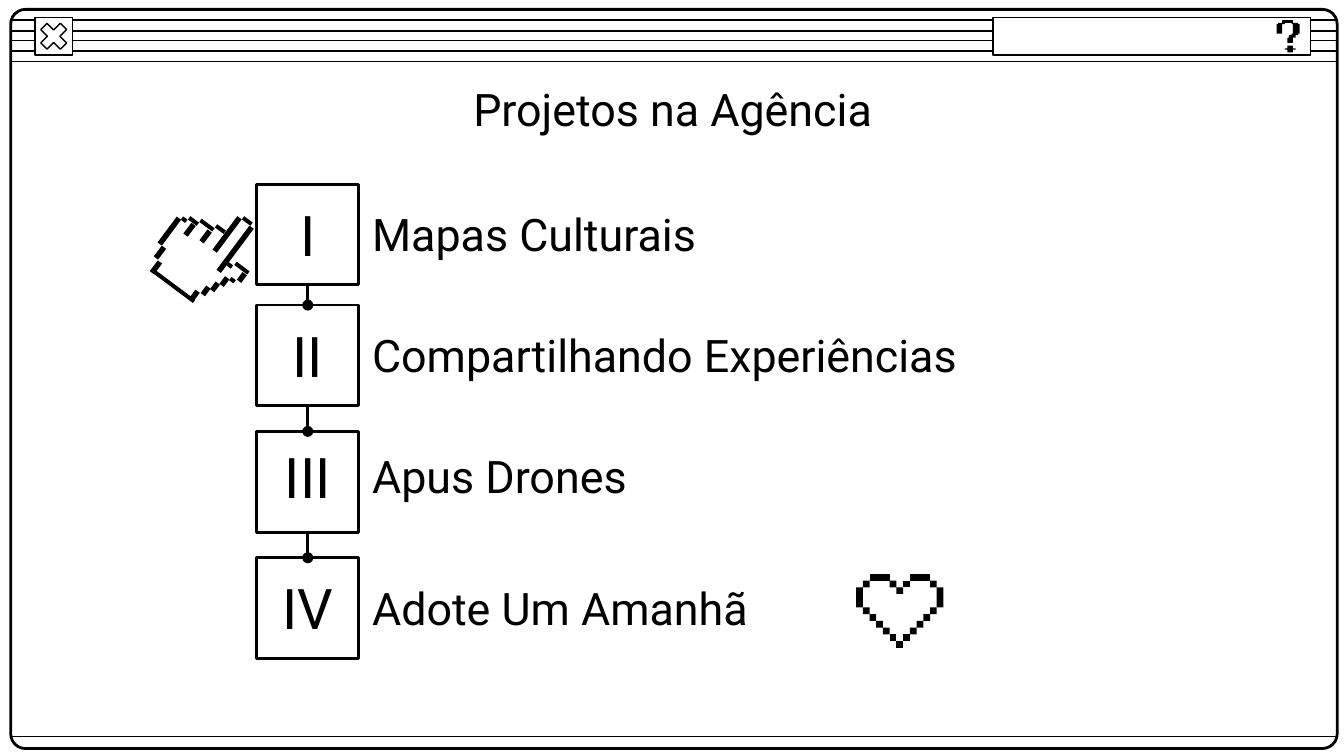
from lxml.etree import SubElement
from pptx import Presentation
from pptx.dml.color import RGBColor
from pptx.enum.shapes import MSO_CONNECTOR, MSO_SHAPE
from pptx.enum.text import MSO_ANCHOR, PP_ALIGN
from pptx.oxml.ns import qn
from pptx.util import Inches, Pt

BLACK = RGBColor(0x00, 0x00, 0x00)
WHITE = RGBColor(0xFF, 0xFF, 0xFF)
FONT = "Roboto"

# Widescreen slide, 16:9
prs = Presentation()
prs.slide_width = Inches(10)
prs.slide_height = Inches(10 * 9 / 16)
slide = prs.slides.add_slide(prs.slide_layouts[5])
shapes = slide.shapes


def box_corners(left, top, width, height):
    right, bottom = left + width, top + height
    return [(left, top), (right, top), (right, bottom), (left, bottom)]


def draw_outline(contours, color):
    contours = [[(Inches(x), Inches(y)) for x, y in points] for points in contours]
    builder = shapes.build_freeform(*contours[0][0])
    builder.add_line_segments(contours[0][1:])
    for points in contours[1:]:
        builder.move_to(*points[0])
        builder.add_line_segments(points[1:])
    outline = builder.convert_to_shape()
    outline.shadow.inherit = False
    outline.fill.solid()
    outline.fill.fore_color.rgb = color
    outline.line.fill.background()
    return outline


# Window stripes: title bar and bottom edge
lines = []
for y in (0.15, 0.23, 0.3, 0.38, 0.46, 5.48):
    stripe = shapes.add_connector(
        MSO_CONNECTOR.STRAIGHT, Inches(0.08), Inches(y), Inches(9.95), Inches(y))
    lines.append((stripe, 0.75))

# Window frame, close button, search bar and numeral boxes
numeral_tops = (1.37, 2.27, 3.21, 4.15)
framed = [
    (MSO_SHAPE.ROUNDED_RECTANGLE, 0.08, 0.07, 9.87, 5.5, 0.02, None, 1.5),
    (MSO_SHAPE.RECTANGLE, 0.26, 0.13, 0.28, 0.28, None, WHITE, 0.75),
    (MSO_SHAPE.MATH_MULTIPLY, 0.26, 0.13, 0.28, 0.28, 0.235, WHITE, 0.75),
    (MSO_SHAPE.RECTANGLE, 7.39, 0.13, 2.36, 0.28, None, WHITE, 0.75),
]
framed += [(MSO_SHAPE.RECTANGLE, 1.91, top, 0.76, 0.75, None, None, 1.5)
           for top in numeral_tops]
numeral_boxes = []
for preset, left, top, width, height, adjustment, fill, weight in framed:
    frame = shapes.add_shape(
        preset, Inches(left), Inches(top), Inches(width), Inches(height))
    frame.shadow.inherit = False
    if adjustment is not None:
        frame.adjustments[0] = adjustment
    if fill is None:
        frame.fill.background()
    else:
        frame.fill.solid()
        frame.fill.fore_color.rgb = fill
    frame.line.color.rgb = BLACK
    frame.line.width = Pt(weight)
    if width == 0.76:
        numeral_boxes.append(frame)

# Links between consecutive numeral boxes
for upper, lower in zip(numeral_boxes, numeral_boxes[1:]):
    link = shapes.add_connector(MSO_CONNECTOR.STRAIGHT, 0, 0, 0, 0)
    link.begin_connect(upper, 2)
    link.end_connect(lower, 0)
    lines.append((link, 1.5))

for line, weight in lines:
    line.line.color.rgb = BLACK
    line.line.width = Pt(weight)
    properties = line._element.spPr
    if weight == 1.5:
        SubElement(properties.find(qn("a:ln")), qn("a:tailEnd"), type="oval")
    SubElement(properties, qn("a:effectLst"))

# Question mark: dot and hook
draw_outline([[
    (9.58, 0.34), (9.58, 0.36), (9.56, 0.36), (9.56, 0.37), (9.58, 0.37), (9.58, 0.39),
    (9.62, 0.39), (9.62, 0.37), (9.64, 0.37), (9.64, 0.36), (9.62, 0.36), (9.62, 0.34),
]], BLACK)
draw_outline([[
    (9.54, 0.15), (9.54, 0.17), (9.51, 0.17), (9.51, 0.18), (9.5, 0.18), (9.5, 0.25),
    (9.54, 0.25), (9.54, 0.18), (9.56, 0.18), (9.56, 0.17), (9.61, 0.17), (9.61, 0.18),
    (9.62, 0.18), (9.62, 0.25), (9.61, 0.25), (9.61, 0.26), (9.59, 0.26), (9.59, 0.28),
    (9.58, 0.28), (9.58, 0.32), (9.62, 0.32), (9.62, 0.28), (9.64, 0.28), (9.64, 0.26),
    (9.66, 0.26), (9.66, 0.25), (9.67, 0.25), (9.67, 0.18), (9.66, 0.18), (9.66, 0.17),
    (9.62, 0.17), (9.62, 0.15)]], BLACK)

# Pointing hand: white silhouette, then tilted strokes
draw_outline([[
    (1.88, 1.65), (1.86, 1.68), (1.89, 1.7), (1.7, 1.95), (1.74, 1.98), (1.76, 1.95),
    (1.85, 2.02), (1.79, 2.1), (1.76, 2.08), (1.74, 2.11), (1.71, 2.08), (1.66, 2.14),
    (1.63, 2.11), (1.59, 2.17), (1.56, 2.14), (1.52, 2.2), (1.49, 2.18), (1.43, 2.26),
    (1.11, 2.02), (1.17, 1.94), (1.14, 1.92), (1.2, 1.83), (1.17, 1.81), (1.31, 1.62),
    (1.34, 1.64), (1.37, 1.61), (1.4, 1.64), (1.42, 1.61), (1.48, 1.66), (1.5, 1.63),
    (1.6, 1.7), (1.62, 1.67), (1.68, 1.72), (1.76, 1.61), (1.79, 1.63), (1.81, 1.61),
]], WHITE)
hand_strokes = [
    (1.73, 1.65, 0.04, 0.41), (1.8, 1.63, 0.08, 0.03), (1.67, 1.59, 0.04, 0.31),
    (1.6, 1.69, 0.08, 0.03), (1.51, 1.71, 0.04, 0.1), (1.48, 1.66, 0.12, 0.03),
    (1.39, 1.66, 0.04, 0.1), (1.4, 1.63, 0.08, 0.03), (1.35, 1.62, 0.04, 0.03),
    (1.24, 1.6, 0.04, 0.24), (1.17, 1.83, 0.04, 0.1), (1.14, 1.94, 0.04, 0.1),
    (1.12, 2.12, 0.36, 0.03), (1.69, 1.96, 0.04, 0.03), (1.74, 1.98, 0.12, 0.03),
    (1.78, 2.03, 0.04, 0.07), (1.71, 2.07, 0.04, 0.03), (1.65, 2.06, 0.04, 0.07),
    (1.58, 2.1, 0.04, 0.07), (1.51, 2.13, 0.04, 0.07), (1.43, 2.16, 0.04, 0.07),
]
for stroke in hand_strokes:
    draw_outline([box_corners(*stroke)], BLACK).rotation = 36.7

# Pixel heart: each part lists blocks as column, row, columns, rows
PIXEL = 0.05
heart_parts = [
    [(3, 7, 1, 1), (4, 8, 1, 1)], [(1, 5, 1, 1), (2, 6, 1, 1)],
    [(1, 1, 1, 1), (0, 2, 1, 3)], [(2, 0, 3, 1)],
    [(5, 1, 1, 1), (6, 2, 1, 1)], [(5, 9, 1, 1)],
    [(9, 7, 1, 1), (8, 8, 1, 1)], [(11, 1, 1, 1), (12, 2, 1, 3)],
    [(11, 5, 1, 1), (10, 6, 1, 1)], [(8, 0, 3, 1)],
    [(7, 1, 1, 1)], [(7, 9, 1, 1)], [(6, 10, 1, 1)],
]
for part in heart_parts:
    draw_outline([
        box_corners(6.37 + column * PIXEL, 4.27 + row * PIXEL,
                    columns * PIXEL, rows * PIXEL)
        for column, row, columns, rows in part], BLACK)

# Title, numerals and project names
title = shapes.title
title.left, title.top = Inches(0.79), Inches(0.49)
title.width, title.height = Inches(8.43), Inches(0.63)
texts = [(title, "Projetos na Agência", 24, PP_ALIGN.CENTER)]
projects = [
    ("I", "Mapas Culturais", 1.57),
    ("II", "Compartilhando Experiências", 2.47),
    ("III", "Apus Drones", 3.37),
    ("IV", "Adote Um Amanhã", 4.35),
]
for numeral, project, top in projects:
    project_box = shapes.add_textbox(Inches(2.67), Inches(top), Inches(5.42), Inches(0.34))
    numeral_box = shapes.add_textbox(Inches(1.91), Inches(top), Inches(0.76), Inches(0.34))
    texts.append((project_box, project, 24, PP_ALIGN.LEFT))
    texts.append((numeral_box, numeral, 30, PP_ALIGN.CENTER))

for holder, words, size, alignment in texts:
    frame = holder.text_frame
    frame.word_wrap = True
    frame.vertical_anchor = MSO_ANCHOR.MIDDLE
    frame.margin_left = frame.margin_right = Inches(0.1)
    frame.margin_top = frame.margin_bottom = Inches(0.1)
    paragraph = frame.paragraphs[0]
    paragraph.alignment = alignment
    run = paragraph.add_run()
    run.text = words
    run.font.name = FONT
    run.font.size = Pt(size)
    run.font.color.rgb = BLACK

prs.save("out.pptx")
